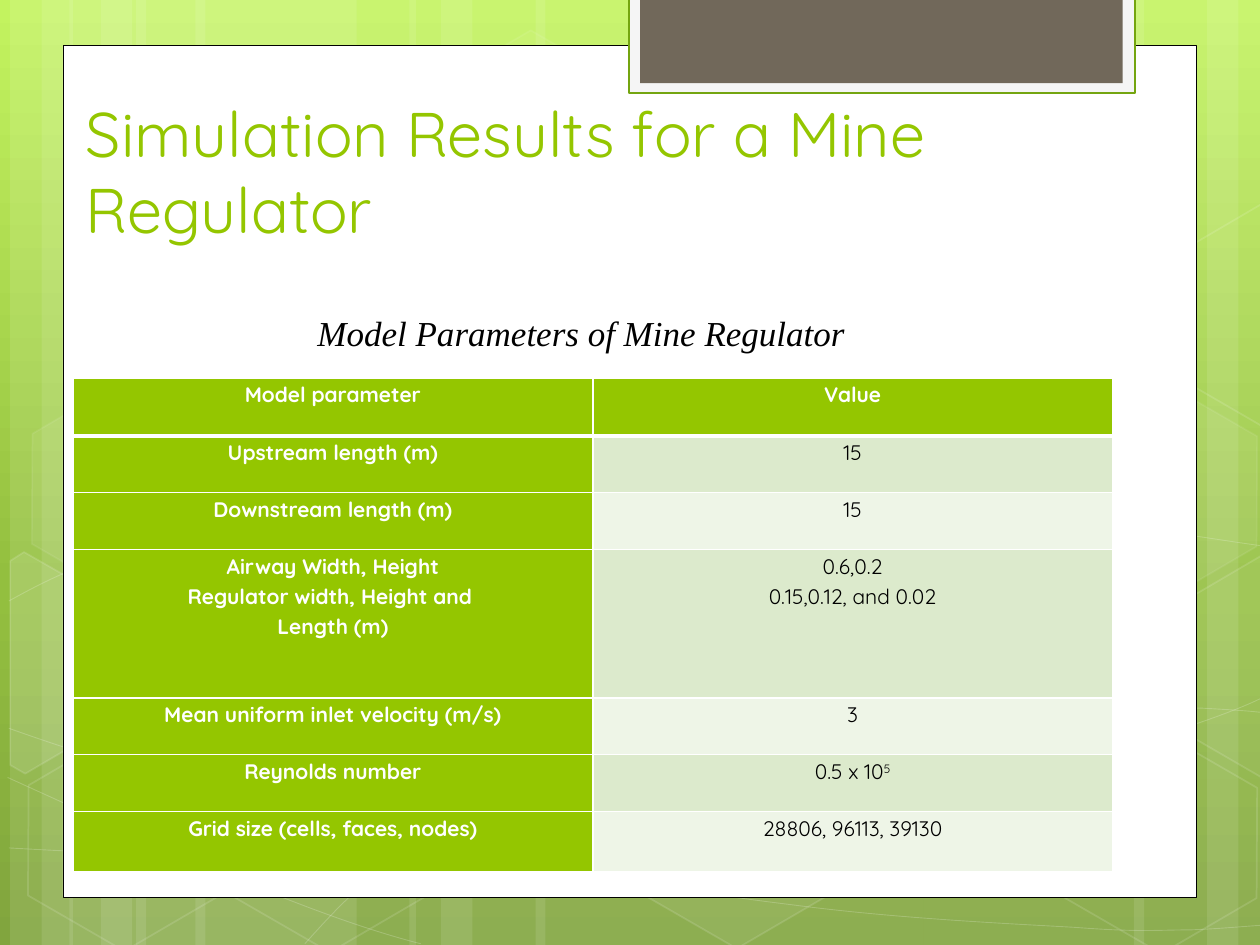
from collections import namedtuple
from copy import deepcopy
from math import cos, sin, radians
from lxml.etree import SubElement as Sub
from pptx import Presentation
from pptx.dml.color import RGBColor as Rgb
from pptx.enum.shapes import MSO_SHAPE as Kind
from pptx.enum.text import MSO_ANCHOR as Anchor, MSO_AUTO_SIZE as Auto, PP_ALIGN as Align
from pptx.oxml.ns import qn
from pptx.util import Inches, Pt


class Theme:
    """Colours, fonts and type sizes."""
    sky = [(0, "C3F35F"), (0.62, "93BF3F"), (1, "81A53E")]
    white, black = "FFFFFF", "000000"
    green, edge = "94C600", "74A510"
    frame, taupe = "F5F5F5", "71685A"
    tints = ("DCEACC", "EEF5E7")
    sans, serif = "Quicksand", "Times New Roman"
    head, note, cell = 36, 20, 12


class Box(namedtuple("Box", "x y w h")):
    """An area measured in one-inch columns and rows."""

    def sub(self, x, y, w, h):
        """Return an area offset from this one's corner."""
        return Box(self.x + x, self.y + y, w, h)

    def emu(self):
        """Return the four lengths for a shape call."""
        return [Inches(v) for v in self]


BANDS = [(1.08, 1.75), (0.08, 0.5), (0.33, 0.83), (1.55, 1.75), (0.55, 0.5), (0.8, 0.83),
         (7.33, 1.75), (9.58, 0.5), (9, 0.83), (4.25, 3.08), (3.25, 0.5), (3.5, 0.83)]
WAVES = [
    [(0.07, 6.73), (0.61, 6.76, 1.15, 6.79, 1.9, 6.78), (2.65, 6.77, 3.58, 6.75, 4.58, 6.65),
     (5.58, 6.55, 7, 6.36, 7.92, 6.17), (8.83, 5.98, 9.77, 5.68, 10.07, 5.51)],
    [(0.07, 4.77), (0.36, 4.61, 0.65, 4.46, 1.21, 4.31), (1.78, 4.16, 2.59, 3.94, 3.47, 3.87),
     (4.36, 3.8, 5.44, 3.79, 6.54, 3.87), (7.64, 3.95, 9.47, 4.26, 10.07, 4.34)],
    [(0.06, 6.17), (1.27, 6.72, 2.47, 7.27, 3.34, 7.49)],
    [(0.07, 5.78), (0.38, 5.89, 0.7, 6, 1.28, 6.16), (1.86, 6.31, 2.73, 6.56, 3.57, 6.73),
     (4.4, 6.9, 5.45, 7.08, 6.28, 7.18), (7.11, 7.29, 8, 7.33, 8.53, 7.36),
     (9.05, 7.4, 9.19, 7.38, 9.45, 7.38), (9.71, 7.37, 9.89, 7.35, 10.07, 7.34)],
    [(2.42, 7.49), (2.6, 7.29, 2.78, 7.09, 3.02, 6.91), (3.26, 6.73, 3.6, 6.53, 3.88, 6.39),
     (4.16, 6.25, 4.33, 6.19, 4.7, 6.09), (5.06, 5.99, 5.73, 5.85, 6.08, 5.78),
     (6.44, 5.71, 6.49, 5.71, 6.8, 5.69), (7.11, 5.66, 7.6, 5.63, 7.94, 5.62),
     (8.29, 5.61, 8.86, 5.62, 8.86, 5.62), (9.53, 5.62),
     (9.71, 5.63, 9.88, 5.64, 9.97, 5.65), (10.06, 5.66, 10.03, 5.65, 10.06, 5.66)]]
HEXES = [(3.34, 0.36, 4, 8), (4.97, 5.89, 6, 12), (0.11, 5.91, 0, 12), (0.14, 3.12, 7, 8),
         (1.74, 5.92, 0, 12), (7.53, 4.53, 10, 12), (8.34, 5.93, 0, 12), (8.34, 3.14, 7, 8)]
RIGHT = [(9.26, 0.41), (10.01, -0.03), (10.09, 0.02), (10.09, 1.69), (10.02, 1.73), (9.26, 1.29)]
LEFT = [(0.08, -0.14), (0.19, -0.21), (0.96, 0.23), (0.95, 1.11), (0.2, 1.55), (0.08, 1.48)]
PARTS = [(LEFT, -0.33, 4.59, 1.38, 10), (RIGHT, 9.17, 4.44, 1.36, 4), (RIGHT, 9.17, 1.65, 1.36, 0)]
ROWS = [
    (0.46, ["Model parameter"], [["Value"]]),
    (0.45, ["Upstream length (m)"], [["15"]]),
    (0.45, ["Downstream length (m)"], [["15"]]),
    (1.18, ["Airway Width, Height", "Regulator width, Height and ", "Length (m)"],
     [["0.6,0.2"], ["0.15,0.12, and 0.02"]]),
    (0.45, ["Mean uniform inlet velocity (m/s)"], [["3"]]),
    (0.45, ["Reynolds number"], [["0.5 x 10", "5"]]),
    (0.48, ["Grid size (cells, faces, nodes)"], [["28806, 96113, 39130"]])]


def tone(fill, hue, pct=100):
    """Give a fill one colour at a given opacity."""
    fill.solid()
    fill.fore_color.rgb = Rgb.from_string(hue)
    if pct < 100:
        clr = fill._xPr.find(".//" + qn("a:srgbClr"))
        Sub(clr, qn("a:alpha")).set("val", str(pct * 1000))


def paint(shape, hue=None, pct=100, edge=None, size=1, dim=100):
    """Set the fill and line of a shape and drop its shadow."""
    shape.shadow.inherit = False
    if hue and pct:
        tone(shape.fill, hue, pct)
    else:
        shape.fill.background()
    if edge:
        shape.line.width = Pt(size)
        tone(shape.line.fill, edge, dim)
    else:
        shape.line.fill.background()


def block(shapes, box, kind=Kind.RECTANGLE, **look):
    """Add a painted preset shape filling a box."""
    shape = shapes.add_shape(kind, *box.emu())
    paint(shape, **look)
    return shape


def draw(shapes, pts, close, **look):
    """Add a painted outline through points given in inches."""
    pts = [(x * 1000, y * 1000) for x, y in pts]
    pen = shapes.build_freeform(*pts[0], scale=Inches(1) / 1000)
    pen.add_line_segments(pts[1:], close=close)
    shape = pen.convert_to_shape()
    paint(shape, **look)
    return shape


def wave(shapes, steps, **look):
    """Add an open outline whose six-number steps are cubic curves."""
    pts = [pair for step in steps for pair in zip(step[::2], step[1::2])]
    shape = draw(shapes, pts, False, **look)
    legs = iter(list(shape.element.iter(qn("a:lnTo"))))
    for step in steps[1:]:
        leg = next(legs)
        if len(step) == 6:
            bend = leg.makeelement(qn("a:cubicBezTo"))
            leg.addprevious(bend)
            for part in (leg, next(legs), next(legs)):
                bend.append(part[0])
                part.getparent().remove(part)


def turn(pts, mid, deg):
    """Return points turned about a middle by some degrees."""
    c, s = cos(radians(deg)), sin(radians(deg))
    gaps = [(x - mid[0], y - mid[1]) for x, y in pts]
    return [(mid[0] + x * c - y * s, mid[1] + x * s + y * c) for x, y in gaps]


def write(para, text, face, size, hue, **style):
    """Add one formatted run to a paragraph."""
    run = para.add_run()
    run.text = text
    font = run.font
    font.name, font.size = face, Pt(size)
    font.color.rgb = Rgb.from_string(hue)
    font.bold, font.italic = style.get("bold", False), style.get("italic", False)
    if style.get("sup"):
        font._element.set("baseline", "30000")


def backdrop(slide, box):
    """Draw the gradient, bands, waves and hexagons."""
    fill = slide.background.fill
    fill.gradient()
    fill.gradient_angle = 270
    stops = slide.element.find(".//" + qn("a:gsLst"))
    stops.append(deepcopy(stops[0]))
    for stop, (pos, hue) in zip(fill.gradient_stops, Theme.sky):
        stop.position = pos
        stop.color.rgb = Rgb.from_string(hue)
    shapes = slide.shapes.add_group_shape().shapes
    for x, w in BANDS:
        block(shapes, box.sub(x, 0, w, box.h), hue=Theme.white, pct=10)
    for steps in WAVES:
        wave(shapes, steps, edge=Theme.white, size=0.5, dim=20)
    for x, y, pct, dim in HEXES:
        hexa = block(shapes, box.sub(x, y, 1.75, 1.52), Kind.HEXAGON,
                     hue=Theme.white, pct=pct, edge=Theme.white, dim=dim)
        hexa.adjustments[0] = 0.285
        hexa.rotation = 30
    for pts, x, y, w, pct in PARTS:
        pts = turn([(a, y + b) for a, b in pts], (x + w / 2, y + 0.76), -30)
        draw(shapes, pts, True, hue=Theme.white, pct=pct, edge=Theme.white, dim=12).rotation = 30


def panel(slide, box):
    """Draw the white sheet and the tab across its top edge."""
    block(slide.shapes, box, hue=Theme.white, edge=Theme.black, size=0.5)
    block(slide.shapes, box.sub(4.49, -0.38, 4.02, 0.76), hue=Theme.frame, edge=Theme.edge, size=1.25)
    block(slide.shapes, box.sub(4.58, -0.38, 3.83, 0.68), hue=Theme.taupe)


def heading(slide, box):
    """Place the title on the sheet."""
    title = slide.shapes.title
    title.element.getparent().append(title.element)
    title.left, title.top, title.width, title.height = box.emu()
    frame = title.text_frame
    frame.auto_size, frame.word_wrap, frame.vertical_anchor = Auto.NONE, True, Anchor.BOTTOM
    para = frame.paragraphs[0]
    para.alignment = Align.LEFT
    write(para, "Simulation Results for a Mine Regulator", Theme.sans, Theme.head, Theme.green)


def caption(slide, box):
    """Place the table's caption."""
    frame = slide.shapes.add_textbox(*box.emu()).text_frame
    frame.word_wrap = False
    write(frame.paragraphs[0], "Model Parameters of Mine Regulator",
          Theme.serif, Theme.note, Theme.black, italic=True)


def fill_cell(cell, lines, hue, ink, bold, base):
    """Write centred lines in a cell and set its fill and borders."""
    cell.margin_left = cell.margin_right = Inches(0.07)
    cell.margin_top = cell.margin_bottom = 0
    tone(cell.fill, hue)
    frame = cell.text_frame
    for i, line in enumerate(lines):
        para = frame.add_paragraph() if i else frame.paragraphs[0]
        para.alignment, para.line_spacing = Align.CENTER, 1.15
        for k, text in enumerate(line):
            write(para, text, Theme.sans, Theme.cell, ink, bold=bold, sup=k > 0)
    prop = cell._tc.get_or_add_tcPr()
    for i, (side, size) in enumerate(zip("LRTB", base)):
        line = Sub(prop, qn("a:ln" + side), w=str(Pt(size)))
        Sub(Sub(line, qn("a:solidFill")), qn("a:srgbClr"), val=Theme.white)
        prop.insert(i, line)


def grid(slide, box):
    """Build the table of model parameters."""
    table = slide.shapes.add_table(len(ROWS), 2, *box.emu()).table
    table.horz_banding = False
    for col in table.columns:
        col.width = Inches(box.w / 2)
    for r, (high, names, values) in enumerate(ROWS):
        table.rows[r].height = Inches(high)
        base = (1, 1, 3 if r == 1 else 1, 1 if r else 3)
        fill_cell(table.cell(r, 0), [[n] for n in names], Theme.green, Theme.white, True, base)
        hue, ink = (Theme.tints[(r - 1) % 2], Theme.black) if r else (Theme.green, Theme.white)
        fill_cell(table.cell(r, 1), values, hue, ink, r == 0, base)


def main():
    """Build and save the slide."""
    deck = Presentation()
    page = Box(0, 0, 10, 7.5)
    deck.slide_width, deck.slide_height = Inches(page.w), Inches(page.h)
    slide = deck.slides.add_slide(deck.slide_layouts[5])
    backdrop(slide, page)
    panel(slide, page.sub(0.5, 0.36, 9, 6.76))
    heading(slide, page.sub(0.58, 0.75, 7.68, 1.25))
    grid(slide, page.sub(0.58, 3, 8.25, 3.92))
    caption(slide, page.sub(2.42, 2.42, 4.42, 0.74))
    deck.save("out.pptx")


if __name__ == "__main__":
    main()
